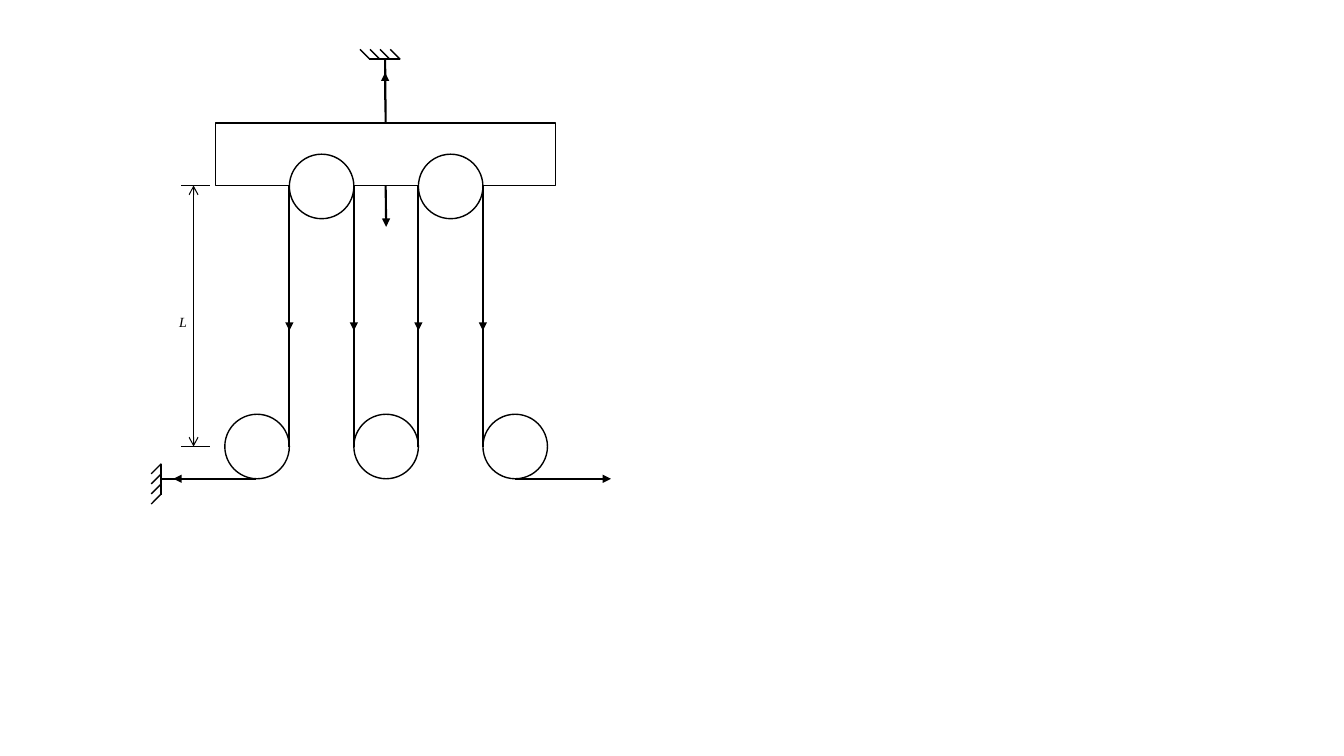
import dataclasses

import lxml.etree
import pptx
import pptx.dml.color
import pptx.enum.shapes
import pptx.enum.text
import pptx.oxml.ns
import pptx.util

Inches = pptx.util.Inches
Kind = pptx.enum.shapes.MSO_SHAPE
INK = "000000"
PAPER = "FFFFFF"
WHEEL = 0.64
LEFT = 2.23
BEAM = 1.84
BASE = 4.43
FLOOR = 4.75
ROPES = [LEFT + WHEEL * i for i in range(1, 5)]


@dataclasses.dataclass
class Line:
    x1: float
    y1: float
    x2: float
    y2: float
    width: float = 1.5
    head: str = ""
    tail: str = ""


def color(code: str) -> pptx.dml.color.RGBColor:
    return pptx.dml.color.RGBColor.from_string(code)


def draw_line(slide, line: Line):
    link = slide.shapes.add_connector(
        pptx.enum.shapes.MSO_CONNECTOR.STRAIGHT,
        Inches(line.x1), Inches(line.y1), Inches(line.x2), Inches(line.y2))
    link.line.color.rgb = color(INK)
    link.line.width = pptx.util.Pt(line.width)
    qn = pptx.oxml.ns.qn
    for tag, kind in (("a:headEnd", line.head), ("a:tailEnd", line.tail)):
        if kind:
            lxml.etree.SubElement(link.get_or_add_ln(), qn(tag), type=kind)
    lxml.etree.SubElement(link._element.spPr, qn("a:effectLst"))
    return link


def draw_shape(slide, kind, left: float, top: float, width: float,
               height: float, fill: str = ""):
    shape = slide.shapes.add_shape(
        kind, Inches(left), Inches(top), Inches(width), Inches(height))
    shape.shadow.inherit = False
    if fill:
        shape.fill.solid()
        shape.fill.fore_color.rgb = color(fill)
    else:
        shape.fill.background()
    shape.line.color.rgb = color(INK)
    shape.line.width = pptx.util.Pt(1)
    return shape


def draw_wheel(slide, left: float, top: float):
    return draw_shape(slide, Kind.OVAL, left, top, WHEEL, WHEEL, PAPER)


def draw_text(slide, text: str, left: float, top: float, width: float,
              height: float, size: float = 10, font: str = "Times New Roman",
              code: str = INK, italic: bool = False):
    box = slide.shapes.add_textbox(
        Inches(left), Inches(top), Inches(width), Inches(height))
    frame = box.text_frame
    frame.word_wrap = True
    frame.auto_size = pptx.enum.text.MSO_AUTO_SIZE.SHAPE_TO_FIT_TEXT
    para = frame.paragraphs[0]
    para.alignment = pptx.enum.text.PP_ALIGN.CENTER
    run = para.add_run()
    run.text = text
    run.font.name = font
    run.font.size = pptx.util.Pt(size)
    run.font.italic = italic
    run.font.color.rgb = color(code)
    return box


def draw_lower(slide):
    for i in range(3):
        draw_wheel(slide, LEFT + 2 * WHEEL * i, 4.11)
    ropes = [Line(x, 1.85, x, BASE) for x in ROPES]
    pulls = [Line(x, 3.01, x, 3.28, tail="triangle") for x in ROPES]
    wall = [
        Line(5.11, FLOOR, 6.06, FLOOR, tail="triangle"),
        Line(1.6, FLOOR, 2.54, FLOOR),
        Line(1.6, 4.6, 1.6, 4.91),
        Line(2, FLOOR, 1.72, FLOOR, tail="triangle"),
    ]
    hatch = [Line(1.6, 4.6 + 0.1 * i, 1.5, 4.7 + 0.1 * i, 1)
             for i in range(4)]
    for line in ropes + pulls + wall + hatch:
        draw_line(slide, line)


def draw_upper(slide):
    beam = draw_shape(slide, Kind.RECTANGLE, 2.14, 1.22, 3.37, 0.62)
    for x in ROPES[::2]:
        draw_wheel(slide, x, 1.53)
    hanger = draw_line(slide, Line(3.82, 0.59, 3.82, 1.22))
    hanger.end_connect(beam, 0)
    load = draw_line(slide, Line(3.83, BEAM, 3.83, 2.25, tail="triangle"))
    load.begin_connect(beam, 2)
    roof = [
        Line(3.97, 0.59, 3.66, 0.59),
        Line(3.82, 0.99, 3.82, 0.72, tail="triangle"),
    ]
    hatch = [Line(3.97 - 0.1 * i, 0.59, 3.87 - 0.1 * i, 0.49, 1)
             for i in range(4)]
    for line in roof + hatch:
        draw_line(slide, line)


def draw_span(slide):
    draw_line(slide, Line(1.92, BEAM, 1.92, BASE, 0.75, "arrow", "arrow"))
    for y in (BEAM, BASE):
        draw_line(slide, Line(1.8, y, 2.08, y, 0.5))
    draw_text(slide, "L", 1.5, 3.06, 0.63, 0.27, italic=True)


def main():
    deck = pptx.Presentation()
    deck.slide_width = Inches(13.33)
    deck.slide_height = Inches(7.5)
    slide = deck.slides.add_slide(deck.slide_layouts[6])
    draw_lower(slide)
    draw_upper(slide)
    draw_span(slide)
    deck.save("out.pptx")


if __name__ == "__main__":
    main()
